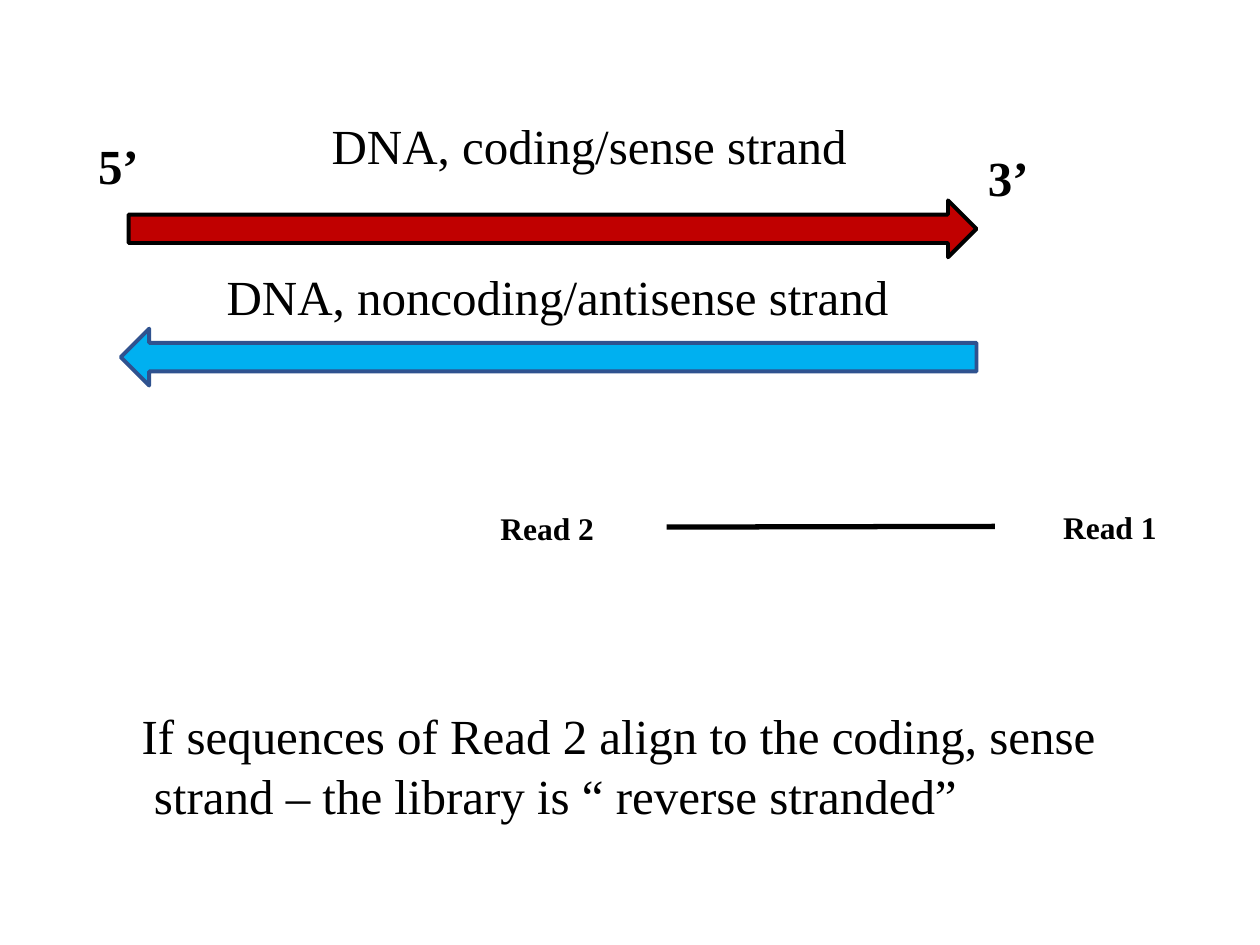
import pptx
import pptx.util
import pptx.dml.color
import pptx.enum.shapes
import pptx.oxml.ns
import lxml.etree

Pt = pptx.util.Pt
RGB = pptx.dml.color.RGBColor.from_string
MSO = pptx.enum.shapes.MSO_SHAPE
COLORS = {"black": "000000", "sense": "C00000",
          "antisense": "00B0F0", "antisense_line": "2F528F"}
FONT = "Times New Roman"

prs = pptx.Presentation()
prs.slide_width, prs.slide_height = Pt(720), Pt(540)
s = prs.slides.add_slide(prs.slide_layouts[6])

# Strand arrows
for kind, x, y, w, fill, line in [
    (MSO.RIGHT_ARROW, 73.5, 114.5, 484.5, "sense", "black"),
    (MSO.LEFT_ARROW, 69, 187.8, 489, "antisense", "antisense_line"),
]:
    sp = s.shapes.add_shape(kind, Pt(x), Pt(y), Pt(w), Pt(32.5))
    sp.shadow.inherit = False
    sp.fill.solid()
    sp.fill.fore_color.rgb = RGB(COLORS[fill])
    sp.line.color.rgb = RGB(COLORS[line])
    sp.line.width = Pt(2.25)

# Strand names, strand ends, read names and conclusion
for text, x, y, w, h, size, bold in [
    ("DNA, coding/sense strand", 189.5, 64, 300, 35, 28, False),
    ("DNA, noncoding/antisense strand", 129.5, 150, 384, 35, 28, False),
    ("5’", 56, 75.5, 26, 35, 28, True),
    ("3’", 564.5, 82, 26, 35, 28, True),
    ("Read 2", 286, 289, 57, 24, 18, True),
    ("Read 1", 607.5, 288, 57, 24, 18, True),
    ("If sequences of Read 2 align to the coding, sense strand – "
     "the library is “ reverse stranded”", 80, 401, 550, 69, 28, False),
]:
    sp = s.shapes.add_textbox(Pt(x), Pt(y), Pt(w), Pt(h))
    tf = sp.text_frame
    tf.margin_left = tf.margin_right = tf.margin_bottom = 0
    tf.margin_top = Pt(2)
    tf.text = text
    p = tf.paragraphs[0]
    r = p.runs[0]
    r.font.name = FONT
    r.font.size = Pt(size)
    r.font.bold = bold
    r.font.color.rgb = RGB(COLORS["black"])
    tf.word_wrap = h > 35
    if tf.word_wrap:
        # The second line of the conclusion is slightly indented
        p.line_spacing = 1.01
        pPr = p._p.get_or_add_pPr()
        pPr.set("marL", str(Pt(8)))
        pPr.set("indent", str(-Pt(7)))

# Line between the two reads
cn = s.shapes.add_connector(pptx.enum.shapes.MSO_CONNECTOR.STRAIGHT,
                            Pt(381), Pt(301.2), Pt(568.5), Pt(300.8))
cn.line.color.rgb = RGB(COLORS["black"])
cn.line.width = Pt(3)
lxml.etree.SubElement(cn._element.spPr, pptx.oxml.ns.qn("a:effectLst"))

prs.save("out.pptx")
